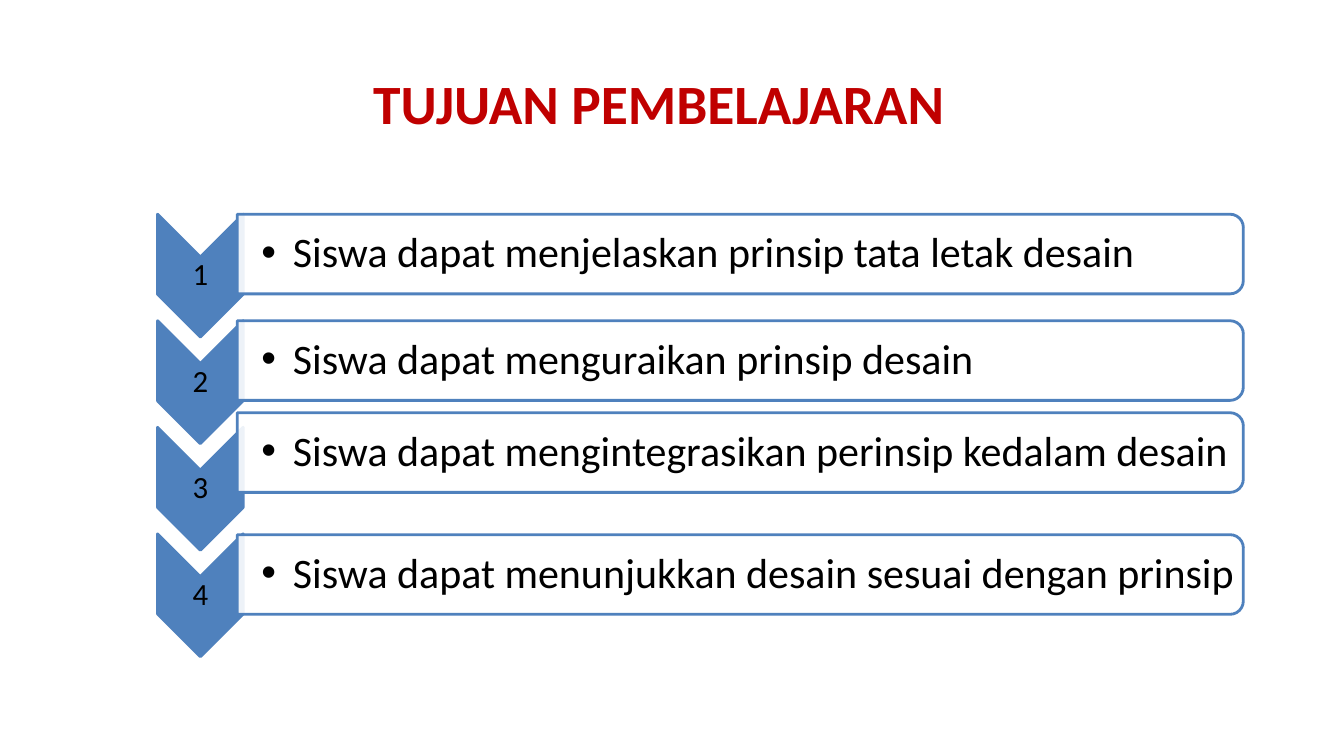
import pptx
import pptx.dml.color
import pptx.enum.shapes
import pptx.enum.text
import pptx.oxml.ns
import pptx.util
from lxml import etree

Pt = pptx.util.Pt
SHAPES = pptx.enum.shapes.MSO_SHAPE
ALIGN = pptx.enum.text.PP_ALIGN
MIDDLE = pptx.enum.text.MSO_ANCHOR.MIDDLE

BLUE, RED, WHITE, BLACK = "4F81BD", "C00000", "FFFFFF", "000000"
GOALS = [
    "Siswa dapat menjelaskan prinsip tata letak desain",
    "Siswa dapat menguraikan prinsip desain",
    "Siswa dapat mengintegrasikan perinsip kedalam desain",
    "Siswa dapat menunjukkan desain sesuai dengan prinsip",
]

# Row geometry in points; the third bar sits a little higher than its chevron
FIRST_TOP, ROW_PITCH = 153, 76.1
BAR_SHIFTS = [0, 0, -10.4, 0.6]
CHEVRON_LEFT, CHEVRON_WIDTH, CHEVRON_HEIGHT = 112.5, 61.2, 87.8
BAR_LEFT, BAR_WIDTH, BAR_HEIGHT = 169.5, 718.6, 56.9


def color(hex_string):
    return pptx.dml.color.RGBColor.from_string(hex_string)


def set_attributes(target, values):
    for name, value in values.items():
        setattr(target, name, value)


def add_child(parent, tag, **attributes):
    child = etree.SubElement(parent, pptx.oxml.ns.qn(tag))
    for name, value in attributes.items():
        child.set(name, value)
    return child


def write_text(shape, text, size, hex_string, align, margins, bold=False):
    """Fill a shape with one paragraph; margins are left, top, right, bottom."""
    left, top, right, bottom = (Pt(margin) for margin in margins)
    frame = shape.text_frame
    set_attributes(frame, {
        "word_wrap": True, "vertical_anchor": MIDDLE,
        "auto_size": pptx.enum.text.MSO_AUTO_SIZE.NONE,
        "margin_left": left, "margin_top": top,
        "margin_right": right, "margin_bottom": bottom,
    })
    paragraph = frame.paragraphs[0]
    set_attributes(paragraph, {"alignment": align, "line_spacing": 0.9})
    run = paragraph.add_run()
    run.text = text
    set_attributes(run.font, {"name": "Calibri", "size": Pt(size), "bold": bold})
    run.font.color.rgb = color(hex_string)
    return paragraph


def add_text(slide, box, *text_format):
    shape = slide.shapes.add_textbox(*(Pt(length) for length in box))
    return write_text(shape, *text_format)


def add_turned_shape(slide, kind, box, fill, opacity=100):
    """Add a shape turned by 90 degrees that covers the given box."""
    left, top, width, height = box
    shift = (width - height) / 2
    shape = slide.shapes.add_shape(
        kind, Pt(left + shift), Pt(top - shift), Pt(height), Pt(width))
    shape.rotation = 90
    shape.shadow.inherit = False
    shape.fill.solid()
    shape.fill.fore_color.rgb = color(fill)
    shape.line.color.rgb = color(BLUE)
    shape.line.width = Pt(2)
    if opacity < 100:
        fill_color = shape.fill._xPr.find(".//" + pptx.oxml.ns.qn("a:srgbClr"))
        add_child(fill_color, "a:alpha", val=str(opacity * 1000))


def add_bullet(paragraph, indent):
    properties = paragraph._p.get_or_add_pPr()
    properties.set("marL", str(Pt(indent)))
    properties.set("indent", str(-Pt(indent)))
    add_child(properties, "a:buFont", typeface="Arial")
    add_child(properties, "a:buChar", char="•")


def add_title(slide, text):
    title = slide.shapes.title
    set_attributes(title, {"left": Pt(19.4), "top": Pt(44.6),
                           "width": Pt(912.2), "height": Pt(97.9)})
    # The larger right and bottom margins lift the line above the middle
    paragraph = write_text(title, text, 39.6, RED, ALIGN.CENTER,
                           (7.2, 3.6, 17, 44), True)
    paragraph.line_spacing = 1.0


def add_goal(slide, number, text, top, bar_top):
    # Numbered chevron
    add_turned_shape(slide, SHAPES.CHEVRON,
                     (CHEVRON_LEFT, top, CHEVRON_WIDTH, CHEVRON_HEIGHT), BLUE)
    add_text(slide, (CHEVRON_LEFT, top + 30.6, CHEVRON_WIDTH, 26.6),
             str(number), 22, BLACK, ALIGN.CENTER, (1.4,) * 4)
    # Bar with the goal
    add_turned_shape(slide, SHAPES.ROUND_2_SAME_RECTANGLE,
                     (BAR_LEFT, bar_top, BAR_WIDTH, BAR_HEIGHT), WHITE, 90)
    paragraph = add_text(slide, (BAR_LEFT + 0.4, bar_top + 2.6, 715.8, 51.8),
                         text, 30, BLACK, ALIGN.LEFT, (16.8, 1.4, 1.4, 1.4))
    add_bullet(paragraph, 22.5)


def main():
    presentation = pptx.Presentation()
    set_attributes(presentation, {"slide_width": Pt(960), "slide_height": Pt(540)})
    title_only = presentation.slide_layouts.get_by_name("Title Only")
    slide = presentation.slides.add_slide(title_only)

    add_title(slide, "TUJUAN PEMBELAJARAN")
    for index, (goal, shift) in enumerate(zip(GOALS, BAR_SHIFTS)):
        top = FIRST_TOP + index * ROW_PITCH
        add_goal(slide, index + 1, goal, top, top + shift)

    presentation.save("out.pptx")


if __name__ == "__main__":
    main()
